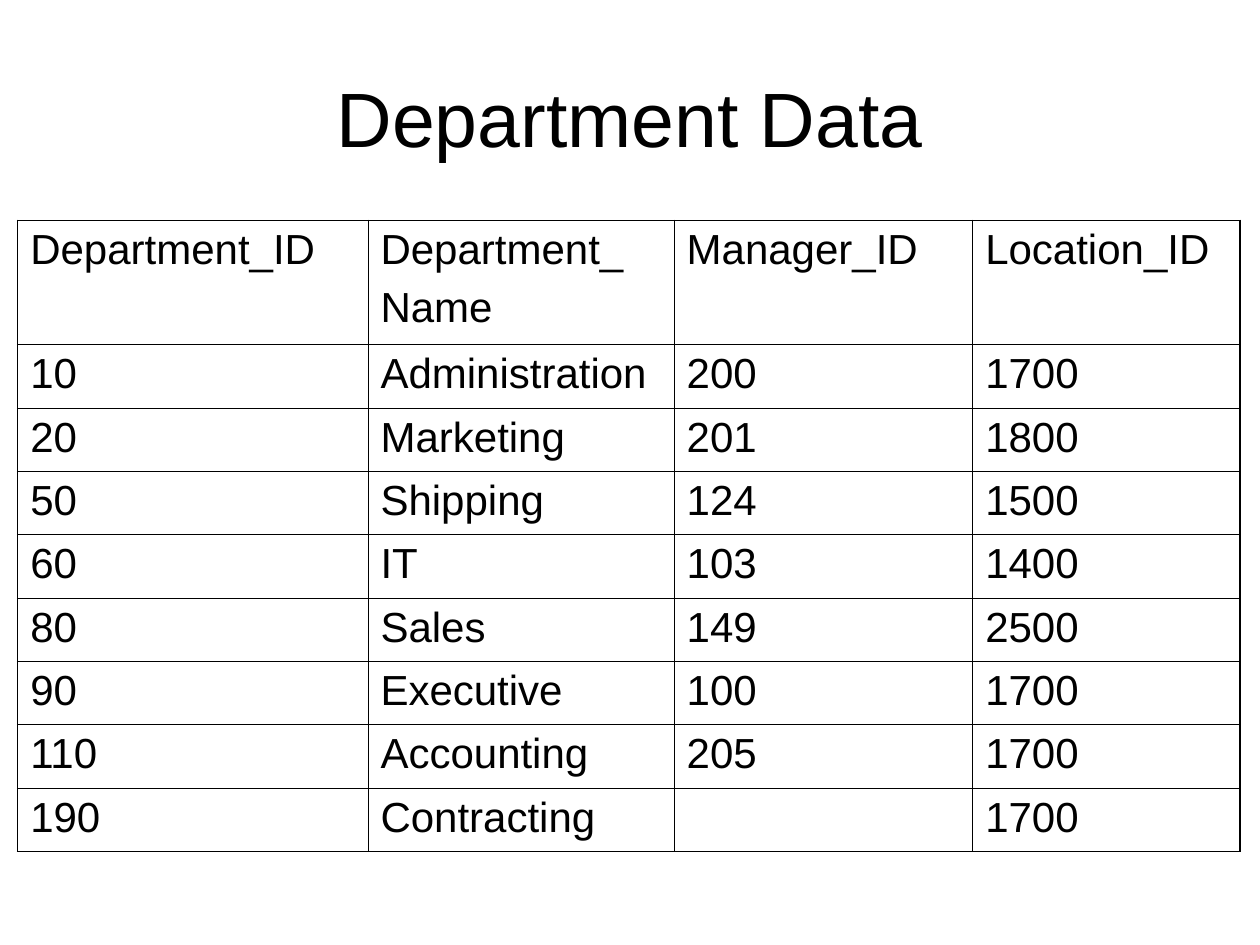
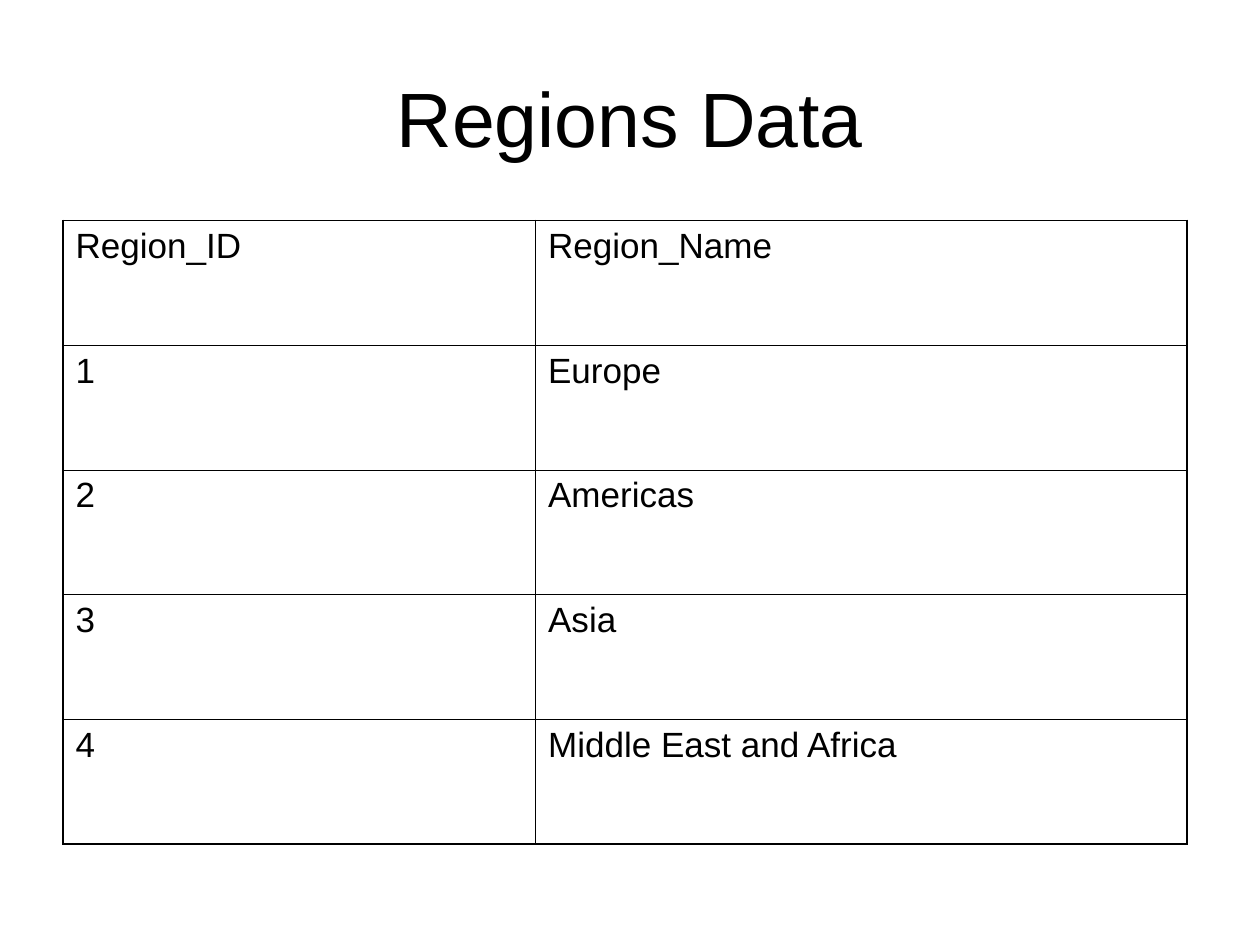
import dataclasses

import lxml.etree
import pptx
import pptx.dml.color
import pptx.enum.text
import pptx.oxml.ns
import pptx.util


@dataclasses.dataclass(frozen=True)
class Theme:
    font: str = "Arial"
    ink: str = "000000"
    paper: str = "FFFFFF"
    title_size: int = 44
    large_size: int = 24
    medium_size: int = 20
    outer_line: float = 1.08
    inner_line: float = 0.45


class Deck:
    """Draws on the current slide; lengths are cells of a 100 by 75 grid."""

    columns, rows = 100, 75

    def __init__(self, theme):
        self.theme = theme
        self.presentation = pptx.Presentation()
        self.presentation.slide_width = pptx.util.Inches(10)
        self.presentation.slide_height = pptx.util.Inches(7.5)
        self.slide = None

    def across(self, count):
        return round(self.presentation.slide_width * count / self.columns)

    def down(self, count):
        return round(self.presentation.slide_height * count / self.rows)

    def add_slide(self, title):
        self.slide = self.presentation.slides.add_slide(self.presentation.slide_layouts[6])
        background = self.slide.background.fill
        background.solid()
        background.fore_color.rgb = pptx.dml.color.RGBColor.from_string(self.theme.paper)
        self.add_title(title)

    def add_title(self, text):
        box = self.slide.shapes.add_textbox(
            self.across(5), self.down(3), self.across(90), self.down(12.5))
        frame = box.text_frame
        frame.word_wrap = True
        frame.vertical_anchor = pptx.enum.text.MSO_ANCHOR.MIDDLE
        frame.text = text
        frame.paragraphs[0].alignment = pptx.enum.text.PP_ALIGN.CENTER
        self.format_text(frame, self.theme.title_size)

    def format_text(self, frame, size):
        """Style every run; later paragraphs get a quarter line before them."""
        for index, paragraph in enumerate(frame.paragraphs):
            if index:
                paragraph.space_before = pptx.util.Pt(size / 4)
            for run in paragraph.runs:
                run.font.name = self.theme.font
                run.font.size = pptx.util.Pt(size)
                run.font.color.rgb = pptx.dml.color.RGBColor.from_string(self.theme.ink)

    def add_table(self, records, left, widths, heights, size):
        shape = self.slide.shapes.add_table(
            len(records), len(widths), self.across(left), self.down(17.5),
            self.across(sum(widths)), self.down(sum(heights)))
        table = shape.table
        table.first_row = table.horz_banding = False
        for column, width in zip(table.columns, widths):
            column.width = self.across(width)
        for row, height in zip(table.rows, heights):
            row.height = self.down(height)
        last_row, last_column = len(records) - 1, len(widths) - 1
        for row_index, record in enumerate(records):
            for column_index, text in enumerate(record):
                cell = table.cell(row_index, column_index)
                cell.text_frame.text = text
                self.format_text(cell.text_frame, size)
                self.add_borders(cell, {
                    "L": column_index == 0, "R": column_index == last_column,
                    "T": row_index == 0, "B": row_index == last_row})
                cell.fill.background()

    def add_borders(self, cell, outer_sides):
        """Line each side, thicker where it lies on the table's edge."""
        qualified = pptx.oxml.ns.qn
        properties = cell._tc.get_or_add_tcPr()
        for side, is_outer in outer_sides.items():
            width = self.theme.outer_line if is_outer else self.theme.inner_line
            line = lxml.etree.SubElement(
                properties, qualified(f"a:ln{side}"), w=str(pptx.util.Pt(width)))
            fill = lxml.etree.SubElement(line, qualified("a:solidFill"))
            lxml.etree.SubElement(fill, qualified("a:srgbClr"), val=self.theme.ink)


DEPARTMENTS = [
    ("Department_ID", "Department_\nName", "Manager_ID", "Location_ID"),
    ("10", "Administration", "200", "1700"),
    ("20", "Marketing", "201", "1800"),
    ("50", "Shipping", "124", "1500"),
    ("60", "IT", "103", "1400"),
    ("80", "Sales", "149", "2500"),
    ("90", "Executive", "100", "1700"),
    ("110", "Accounting", "205", "1700"),
    ("190", "Contracting", "", "1700"),
]
REGIONS = [
    ("Region_ID", "Region_Name"),
    ("1", "Europe"),
    ("2", "Americas"),
    ("3", "Asia"),
    ("4", "Middle East and Africa"),
]


def main():
    theme = Theme()
    deck = Deck(theme)
    deck.add_slide("Department Data")
    deck.add_table(DEPARTMENTS, left=1.4, widths=[27.8, 24.3, 23.7, 21.2],
                   heights=[9.85] + [5.03] * 8, size=theme.large_size)
    deck.add_slide("Regions Data")
    deck.add_table(REGIONS, left=5, widths=[37.5, 51.7],
                   heights=[9.9] * len(REGIONS), size=theme.medium_size)
    deck.presentation.save("out.pptx")


if __name__ == "__main__":
    main()
